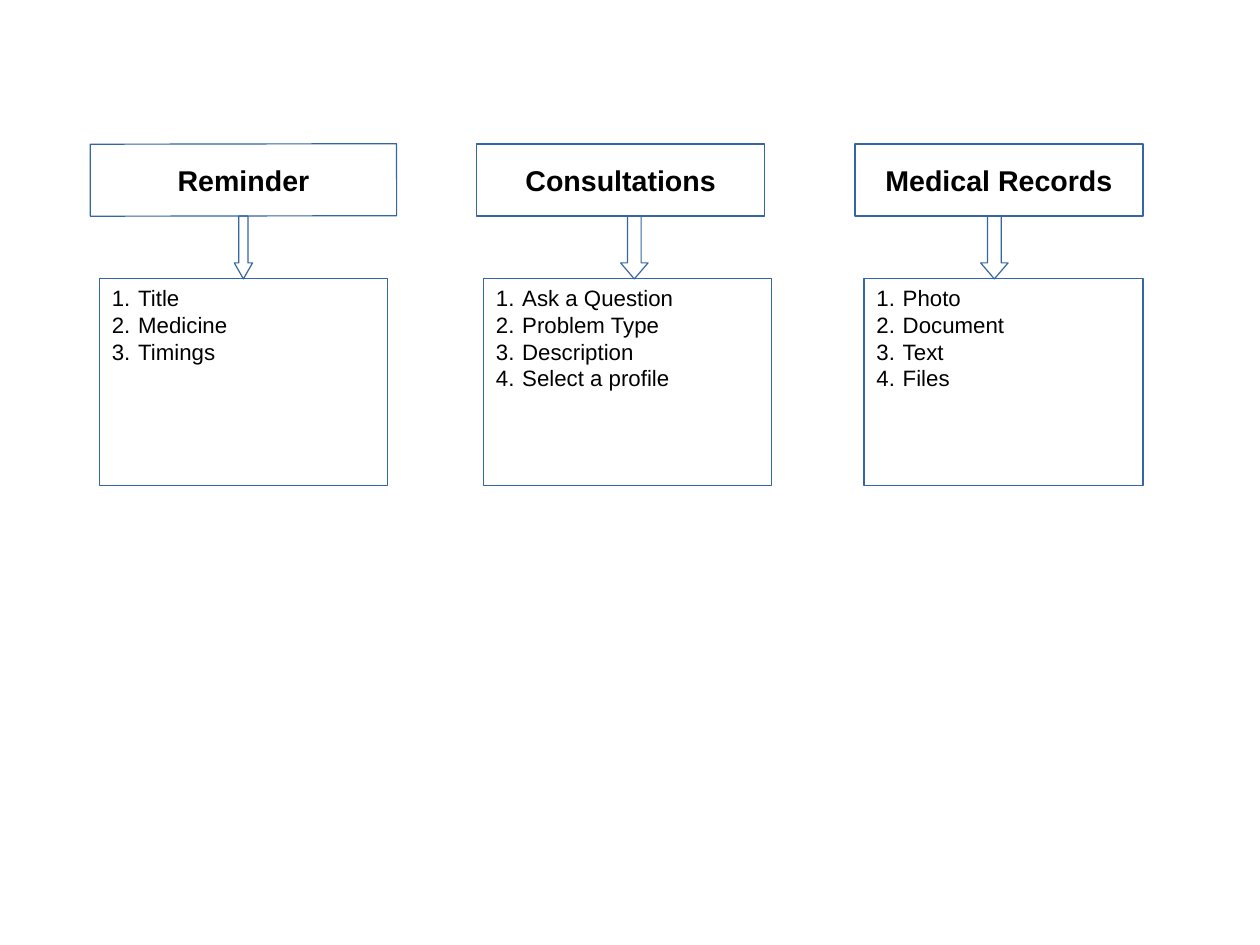
from lxml.etree import SubElement
from pptx import Presentation
from pptx.dml.color import RGBColor
from pptx.enum.shapes import MSO_SHAPE as Shape
from pptx.enum.text import MSO_ANCHOR as Anchor, PP_ALIGN as Align
from pptx.oxml.ns import qn
from pptx.util import Cm, Inches, Pt

BLUE = RGBColor(0x34, 0x65, 0xA4)
BLACK = RGBColor(0x00, 0x00, 0x00)

HEAD_TOP, HEAD_HEIGHT = 1.26, 0.63
LIST_TOP, LIST_HEIGHT = 2.44, 1.81
ARROW_TOP = HEAD_TOP + HEAD_HEIGHT
ARROW_HEAD = 0.14

# Title, items, then (left, width) of heading, list and arrow, and heading tilt
COLUMNS = [
    ("Reminder", ["Title", "Medicine", "Timings"],
     (0.79, 2.68), (0.87, 2.52), (2.05, 0.16), -0.1),
    ("Consultations",
     ["Ask a Question", "Problem Type", "Description", "Select a profile"],
     (4.17, 2.52), (4.23, 2.52), (5.43, 0.24), 0),
    ("Medical Records", ["Photo", "Document", "Text", "Files"],
     (7.48, 2.52), (7.56, 2.44), (8.58, 0.24), 0),
]


def write(para, text, size=14, bold=False, align=Align.LEFT, numbered=False):
    para.alignment = align
    if numbered:
        props = para._p.get_or_add_pPr()
        props.set("marL", str(Inches(0.24)))
        props.set("indent", str(Inches(-0.23)))
        SubElement(props, qn("a:buAutoNum"), type="arabicPeriod")
    span = para.add_run()
    span.text = text
    span.font.name = "Arial"
    span.font.size = Pt(size)
    span.font.bold = bold
    span.font.color.rgb = BLACK


class FlowPage:
    def __init__(self, page, line_color=BLUE, line_width=0.75):
        self.page = page
        self.line_color = line_color
        self.line_width = line_width

    def outline(self, kind, left, top, width, height):
        shape = self.page.shapes.add_shape(
            kind, Inches(left), Inches(top), Inches(width), Inches(height))
        shape.shadow.inherit = False
        shape.fill.background()
        shape.line.color.rgb = self.line_color
        shape.line.width = Pt(self.line_width)
        return shape

    def process(self, left, top, width, height, anchor):
        box = self.outline(Shape.FLOWCHART_PROCESS, left, top, width, height)
        frame = box.text_frame
        frame.word_wrap = True
        frame.vertical_anchor = anchor
        frame.margin_left = frame.margin_right = Inches(0.1)
        frame.margin_top = frame.margin_bottom = Inches(0.05)
        return box

    def heading(self, text, left, width, tilt):
        box = self.process(left, HEAD_TOP, width, HEAD_HEIGHT, Anchor.MIDDLE)
        box.rotation = tilt
        write(box.text_frame.paragraphs[0], text, size=18, bold=True,
              align=Align.CENTER)

    def numbered_list(self, items, left, width):
        box = self.process(left, LIST_TOP, width, LIST_HEIGHT, Anchor.TOP)
        frame = box.text_frame
        for index, item in enumerate(items):
            para = frame.add_paragraph() if index else frame.paragraphs[0]
            write(para, item, numbered=True)

    def arrow(self, left, width):
        arrow = self.outline(Shape.DOWN_ARROW, left, ARROW_TOP, width,
                             LIST_TOP - ARROW_TOP)
        arrow.adjustments[0] = 0.5
        arrow.adjustments[1] = ARROW_HEAD / width


def main():
    deck = Presentation()
    deck.slide_width, deck.slide_height = Cm(28), Cm(21)
    flow = FlowPage(deck.slides.add_slide(deck.slide_layouts[6]))

    # Headings and their lists
    for title, items, head_span, list_span, _, tilt in COLUMNS:
        flow.heading(title, *head_span, tilt)
        flow.numbered_list(items, *list_span)

    # Arrows from heading to list
    for *_, arrow_span, _ in COLUMNS:
        flow.arrow(*arrow_span)

    deck.save("out.pptx")


if __name__ == "__main__":
    main()
